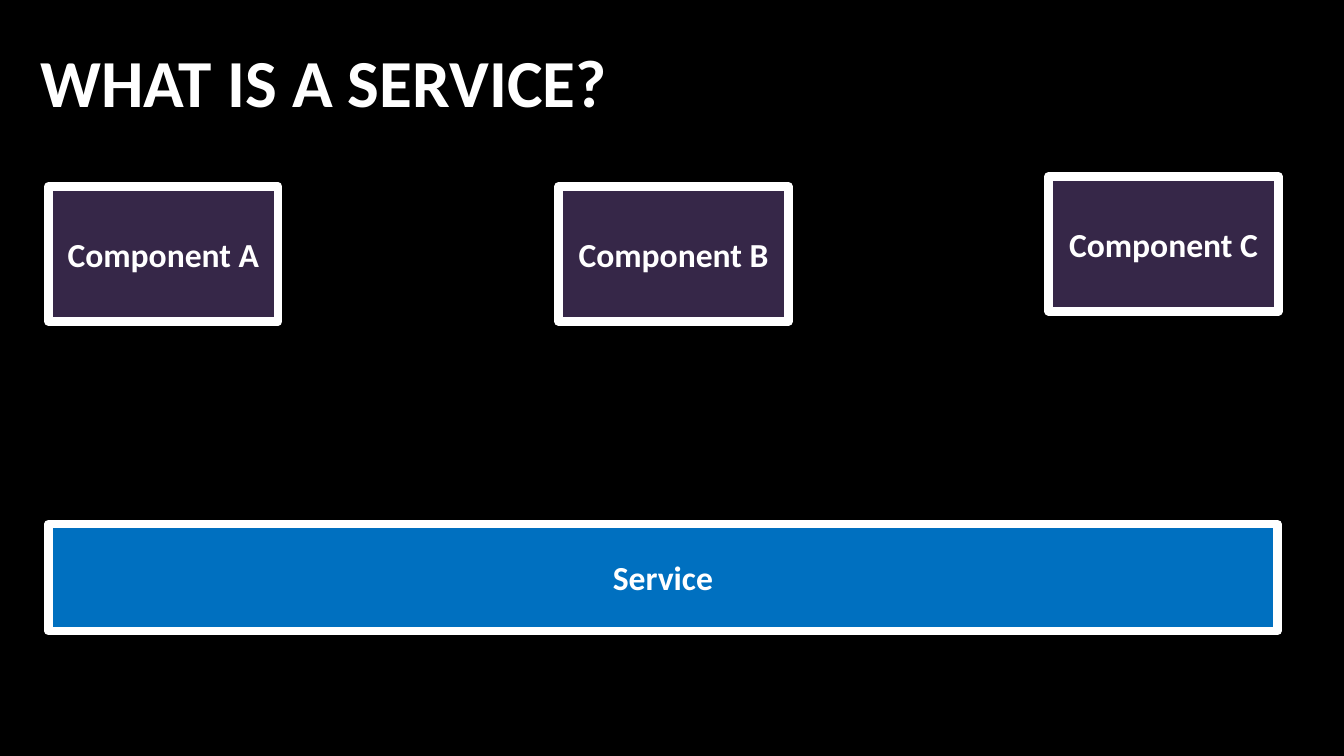
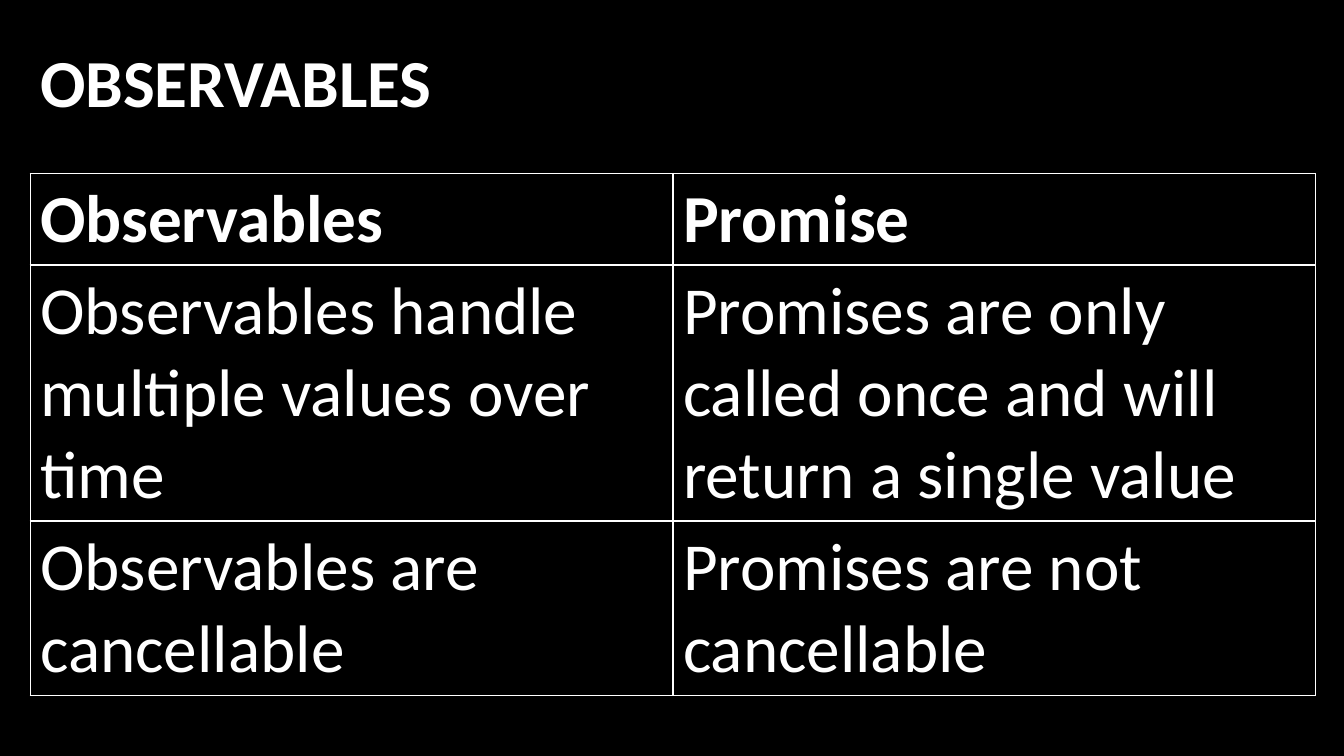
from lxml import etree
from pptx import Presentation, util as u
from pptx.dml.color import RGBColor
from pptx.enum import shapes, text
from pptx.oxml.ns import qn

FONT = "Calibri"
BLACK, WHITE, PURPLE, BLUE = "000000", "FFFFFF", "362748", "0070C0"
LEFT, WIDTH = 0.3, 12.75
OUTER_LINE, INNER_LINE = 1, 2.25


def rgb(value):
    return RGBColor.from_string(value)


def write(tf, content, size, bold=True, align=text.PP_ALIGN.LEFT):
    tf.text = content
    tf.word_wrap = True
    p = tf.paragraphs[0]
    p.alignment = align
    font = p.runs[0].font
    font.name, font.size, font.bold = FONT, u.Pt(size), bold
    font.color.rgb = rgb(WHITE)


def add_slide(prs, title):
    """Add a black slide with its title."""
    s = prs.slides.add_slide(prs.slide_layouts[6])
    s.background.fill.solid()
    s.background.fill.fore_color.rgb = rgb(BLACK)
    box = s.shapes.add_textbox(
        u.Inches(LEFT), u.Inches(0.29), u.Inches(WIDTH), u.Inches(1.03))
    tf = box.text_frame
    write(tf, title, 48)
    tf.vertical_anchor = text.MSO_ANCHOR.MIDDLE
    return s


def add_box(s, label, left, top, width, height, fill):
    sp = s.shapes.add_shape(
        shapes.MSO_SHAPE.RECTANGLE, u.Inches(left), u.Inches(top),
        u.Inches(width), u.Inches(height))
    sp.shadow.inherit = False
    sp.fill.solid()
    sp.fill.fore_color.rgb = rgb(fill)
    sp.line.color.rgb = rgb(WHITE)
    sp.line.width = u.Pt(6)
    write(sp.text_frame, label, 24, align=text.PP_ALIGN.CENTER)
    sp.text_frame.vertical_anchor = text.MSO_ANCHOR.MIDDLE


def add_border(cell, side, width):
    """Draw one cell border; side is L, R, T or B."""
    tc_pr = cell._tc.get_or_add_tcPr()
    ln = etree.SubElement(tc_pr, qn(f"a:ln{side}"), w=str(u.Pt(width)))
    fill = etree.SubElement(ln, qn("a:solidFill"))
    etree.SubElement(fill, qn("a:srgbClr"), val=WHITE)


def add_grid(s, rows, top, heights):
    """Add a table with thin outer and thicker inner borders."""
    last_row, last_col = len(rows) - 1, len(rows[0]) - 1
    table = s.shapes.add_table(
        len(rows), len(rows[0]), u.Inches(LEFT), u.Inches(top),
        u.Inches(WIDTH), u.Inches(sum(heights))).table
    for i, (row, height) in enumerate(zip(rows, heights)):
        table.rows[i].height = u.Inches(height)
        for j, content in enumerate(row):
            cell = table.cell(i, j)
            edges = {"L": j == 0, "R": j == last_col,
                     "T": i == 0, "B": i == last_row}
            for side, outer in edges.items():
                add_border(cell, side, OUTER_LINE if outer else INNER_LINE)
            cell.fill.background()
            cell.vertical_anchor = text.MSO_ANCHOR.MIDDLE
            write(cell.text_frame, content, 48, bold=i == 0)


def build_service(prs):
    s = add_slide(prs, "WHAT IS A SERVICE?")
    for name, left, top in (("A", 0.48, 1.85), ("B", 5.54, 1.85),
                            ("C", 10.4, 1.75)):
        add_box(s, f"Component {name}", left, top, 2.28, 1.34, PURPLE)
    add_box(s, "Service", 0.48, 5.2, 12.19, 1.06, BLUE)


def build_observables(prs):
    s = add_slide(prs, "OBSERVABLES")
    rows = [
        ("Observables", "Promise"),
        ("Observables handle multiple values over time",
         "Promises are only called once and will return a single value"),
        ("Observables are cancellable", "Promises are not cancellable"),
    ]
    add_grid(s, rows, 1.72, (0.91, 2.54, 1.73))


def main():
    prs = Presentation()
    prs.slide_width, prs.slide_height = u.Inches(13.33), u.Inches(7.5)
    build_service(prs)
    build_observables(prs)
    prs.save("out.pptx")


if __name__ == "__main__":
    main()
